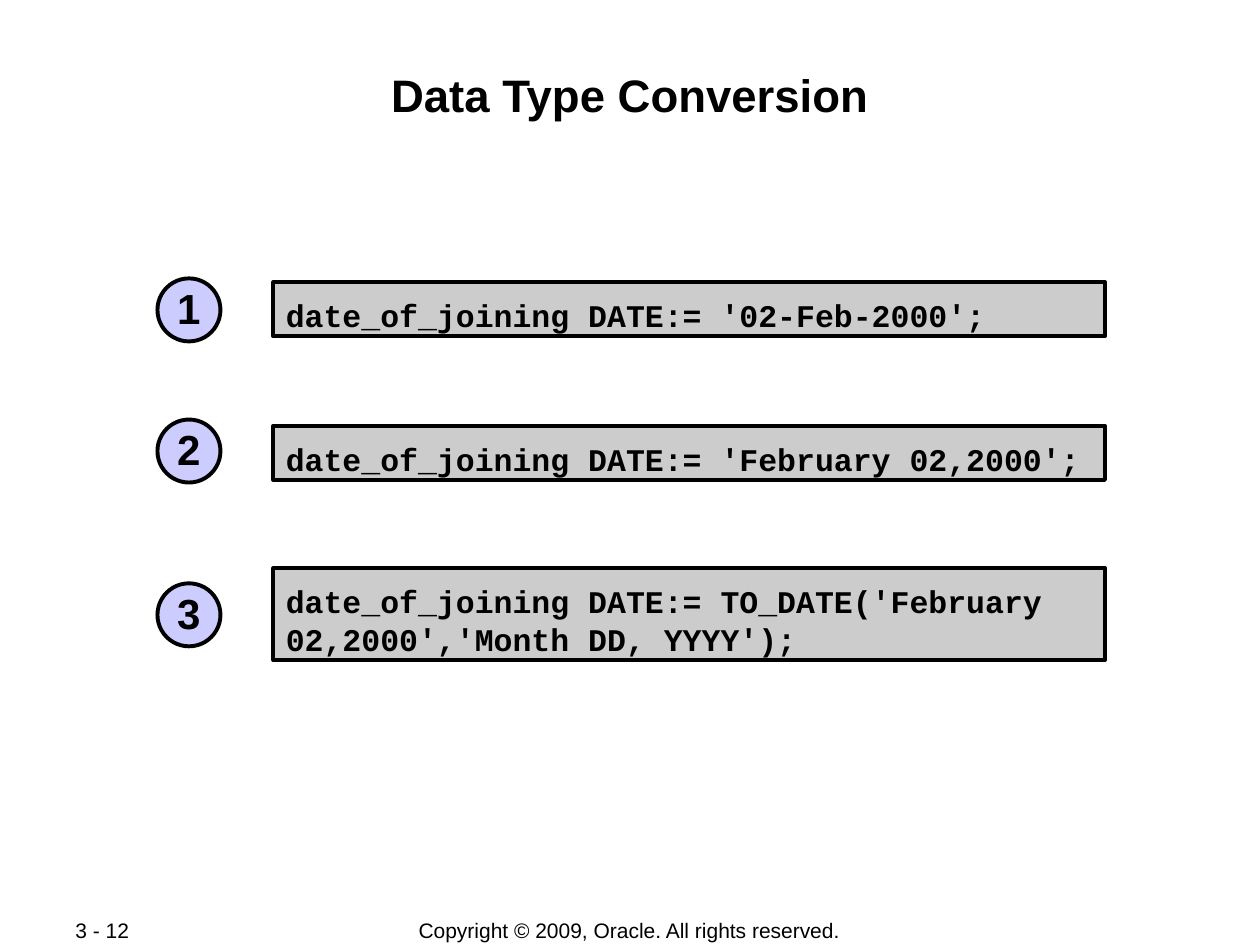
"""Build the Data Type Conversion slide with three numbered code examples."""
from pptx import Presentation
from pptx.dml.color import RGBColor
from pptx.enum import shapes, text
from pptx.util import Inches, Pt

BLACK = RGBColor(0x00, 0x00, 0x00)
GRAY = RGBColor(0xCC, 0xCC, 0xCC)
LAVENDER = RGBColor(0xCC, 0xCC, 0xFF)
LEFT, CENTER = text.PP_ALIGN.LEFT, text.PP_ALIGN.CENTER
TOP, MIDDLE = text.MSO_ANCHOR.TOP, text.MSO_ANCHOR.MIDDLE


def write(shape, words, size, align, anchor, insets, font="Arial", bold=True, wrap=True):
    frame = shape.text_frame
    frame.word_wrap = wrap
    frame.vertical_anchor = anchor
    frame.margin_left, frame.margin_top, frame.margin_right, frame.margin_bottom = map(Inches, insets)
    paragraph = frame.paragraphs[0]
    paragraph.text = words
    paragraph.alignment = align
    paragraph.font.name = font
    paragraph.font.size = Pt(size)
    paragraph.font.bold = bold
    paragraph.font.color.rgb = BLACK
    return paragraph


def add_outlined(kind, left, top, width, height, fill):
    shape = slide.shapes.add_shape(kind, Inches(left), Inches(top), Inches(width), Inches(height))
    shape.shadow.inherit = False
    shape.fill.solid()
    shape.fill.fore_color.rgb = fill
    shape.line.color.rgb = BLACK
    shape.line.width = Pt(2.25)
    return shape


presentation = Presentation()
presentation.slide_width = Inches(10)
presentation.slide_height = Inches(7.5)
slide = presentation.slides.add_slide(presentation.slide_layouts[6])

footers = [
    ("Copyright © 2009, Oracle. All rights reserved.", 2.75, 4.49, CENTER),
    ("3 - 12", 0.5, 1.06, LEFT),
]
for words, left, width, align in footers:
    footer = slide.shapes.add_textbox(Inches(left), Inches(7.28), Inches(width), Inches(0.21))
    write(footer, words, 12, align, MIDDLE, (0.1, 0.05, 0.1, 0.05), bold=False)

title = slide.shapes.add_textbox(Inches(0.67), Inches(0.48), Inches(8.66), Inches(0.96))
write(title, "Data Type Conversion", 26, CENTER, TOP, (0.01, 0.05, 0.01, 0.01))

examples = [
    ("date_of_joining DATE:= '02-Feb-2000';", 2.24, 0.43, 2.21),
    ("date_of_joining DATE:= 'February 02,2000';", 3.38, 0.43, 3.33),
    ("date_of_joining DATE:= TO_DATE('February 02,2000','Month DD, YYYY');", 4.51, 0.73, 4.63),
]
for number, (code, code_top, code_height, badge_top) in enumerate(examples, 1):
    code_box = add_outlined(shapes.MSO_SHAPE.RECTANGLE, 2.17, code_top, 6.6, code_height, GRAY)
    write(code_box, code, 18, LEFT, TOP, (0.1, 0.11, 0.1, 0.03), font="Courier New")
    badge = add_outlined(shapes.MSO_SHAPE.OVAL, 1.25, badge_top, 0.5, 0.5, LAVENDER)
    label = write(badge, str(number), 24, CENTER, MIDDLE, (0.05,) * 4, wrap=False)
    label.line_spacing = 0.95

presentation.save("out.pptx")
